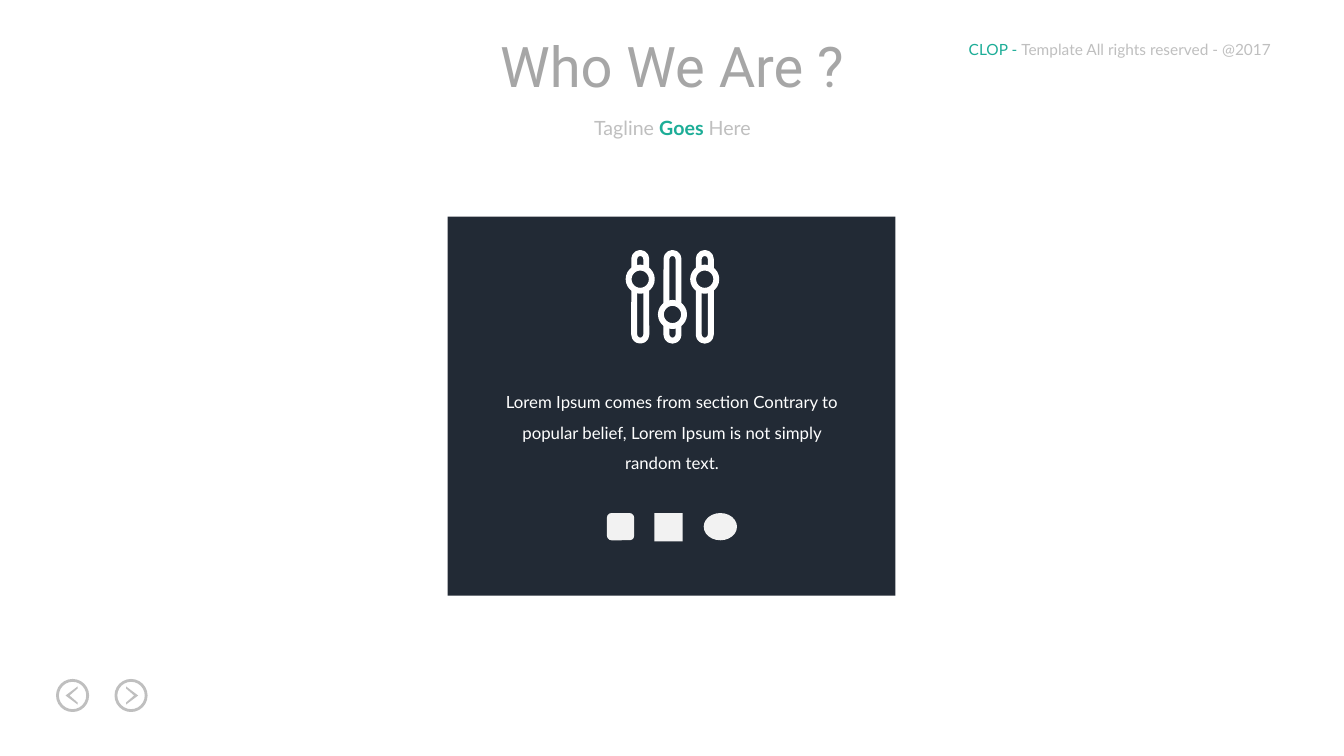
from dataclasses import dataclass

from pptx import Presentation
from pptx.dml.color import RGBColor
from pptx.enum.shapes import MSO_SHAPE
from pptx.enum.text import MSO_AUTO_SIZE, PP_ALIGN
from pptx.util import Inches, Pt

TEAL, NAVY, WHITE = "1CAD97", "222A35", "FFFFFF"
SILVER, GREY, PALE = "BFBFBF", "A6A6A6", "F2F2F2"


@dataclass
class Run:
    text: str
    color: str
    bold: bool = False


@dataclass
class TextBox:
    box: tuple[float, float, float, float]
    runs: list[Run]
    size: float
    font: str = "Lato"
    align: PP_ALIGN = PP_ALIGN.CENTER
    wrap: bool = False
    spacing: float = 1.0


@dataclass
class Slider:
    x: float
    knob_y: float


@dataclass
class NavButton:
    x: float
    direction: int  # 1 points right, -1 points left


@dataclass
class SocialMark:
    kind: MSO_SHAPE
    box: tuple[float, float, float, float]


def rgb(color: str) -> RGBColor:
    return RGBColor.from_string(color)


def paint(sp, fill: str | None, line: str | None = None, width: float = 1) -> None:
    sp.shadow.inherit = False
    if fill:
        sp.fill.solid()
        sp.fill.fore_color.rgb = rgb(fill)
    else:
        sp.fill.background()
    if line:
        sp.line.color.rgb = rgb(line)
        sp.line.width = Pt(width)
    else:
        sp.line.fill.background()


def add_shape(s, kind: MSO_SHAPE, box: tuple, fill: str | None,
              line: str | None = None, width: float = 1):
    sp = s.shapes.add_shape(kind, *map(Inches, box))
    paint(sp, fill, line, width)
    return sp


def add_circle(s, x: float, y: float, d: float, fill: str | None,
               line: str, width: float) -> None:
    add_shape(s, MSO_SHAPE.OVAL, (x - d / 2, y - d / 2, d, d), fill, line, width)


def add_text(s, item: TextBox) -> None:
    tf = s.shapes.add_textbox(*map(Inches, item.box)).text_frame
    tf.word_wrap = item.wrap
    tf.auto_size = MSO_AUTO_SIZE.SHAPE_TO_FIT_TEXT
    p = tf.paragraphs[0]
    p.alignment = item.align
    p.line_spacing = item.spacing
    for run in item.runs:
        r = p.add_run()
        r.text = run.text
        formats = {"name": item.font, "size": Pt(item.size), "bold": run.bold}
        for name, value in formats.items():
            setattr(r.font, name, value)
        r.font.color.rgb = rgb(run.color)


def add_slider(s, slider: Slider) -> None:
    track = add_shape(s, MSO_SHAPE.ROUNDED_RECTANGLE,
                      (slider.x - 0.06, 2.51, 0.12, 0.87), None, WHITE, 4.2)
    track.adjustments[0] = 0.5
    add_circle(s, slider.x, slider.knob_y, 0.23, NAVY, WHITE, 4.2)


def add_nav_button(s, button: NavButton) -> None:
    y = 6.9
    add_circle(s, button.x, y, 0.3, None, SILVER, 2)
    chevron = [(-0.05, -0.07), (0.03, 0), (-0.05, 0.07),
               (-0.05, 0.09), (0.07, 0), (-0.05, -0.09)]
    points = [(Inches(button.x + button.direction * dx), Inches(y + dy))
              for dx, dy in chevron]
    fb = s.shapes.build_freeform(*points[0])
    fb.add_line_segments(points[1:], close=True)
    paint(fb.convert_to_shape(), SILVER)


TEXTS = [
    TextBox((9.51, 0.35, 3.26, 0.29),
            [Run("CLOP - ", TEAL), Run("Template All rights reserved - @2017", SILVER)],
            11, align=PP_ALIGN.LEFT),
    TextBox((4.68, 0.26, 3.97, 0.77), [Run("Who We Are ?", GREY)], 40, "Roboto"),
    TextBox((5.77, 1.1, 1.8, 0.34),
            [Run("Tagline ", SILVER), Run("Goes ", TEAL, True), Run("Here", SILVER)], 14),
    TextBox((4.84, 3.74, 3.65, 1.01),
            [Run("Lorem Ipsum comes from section Contrary to popular belief, "
                 "Lorem Ipsum is not simply random text.", WHITE)],
            12, wrap=True, spacing=1.5),
]
SLIDERS = [Slider(6.35 + 0.32 * i, y) for i, y in enumerate((2.77, 3.12, 2.77))]
NAV_BUTTONS = [NavButton(0.72, -1), NavButton(1.3, 1)]
SOCIAL_MARKS = [
    SocialMark(MSO_SHAPE.ROUNDED_RECTANGLE, (6.02, 5.09, 0.27, 0.27)),
    SocialMark(MSO_SHAPE.RECTANGLE, (6.49, 5.09, 0.28, 0.28)),
    SocialMark(MSO_SHAPE.OVAL, (6.98, 5.09, 0.33, 0.27)),
]


def main() -> None:
    prs = Presentation()
    prs.slide_width, prs.slide_height = Inches(13.33), Inches(7.5)
    s = prs.slides.add_slide(prs.slide_layouts[6])

    # Navigation
    for button in NAV_BUTTONS:
        add_nav_button(s, button)

    # Card with sliders icon and social marks
    add_shape(s, MSO_SHAPE.RECTANGLE, (4.44, 2.15, 4.44, 3.76), NAVY)
    for slider in SLIDERS:
        add_slider(s, slider)
    for mark in SOCIAL_MARKS:
        add_shape(s, mark.kind, mark.box, PALE)

    # Header, title, tagline and card text
    for item in TEXTS:
        add_text(s, item)

    prs.save("out.pptx")


if __name__ == "__main__":
    main()
